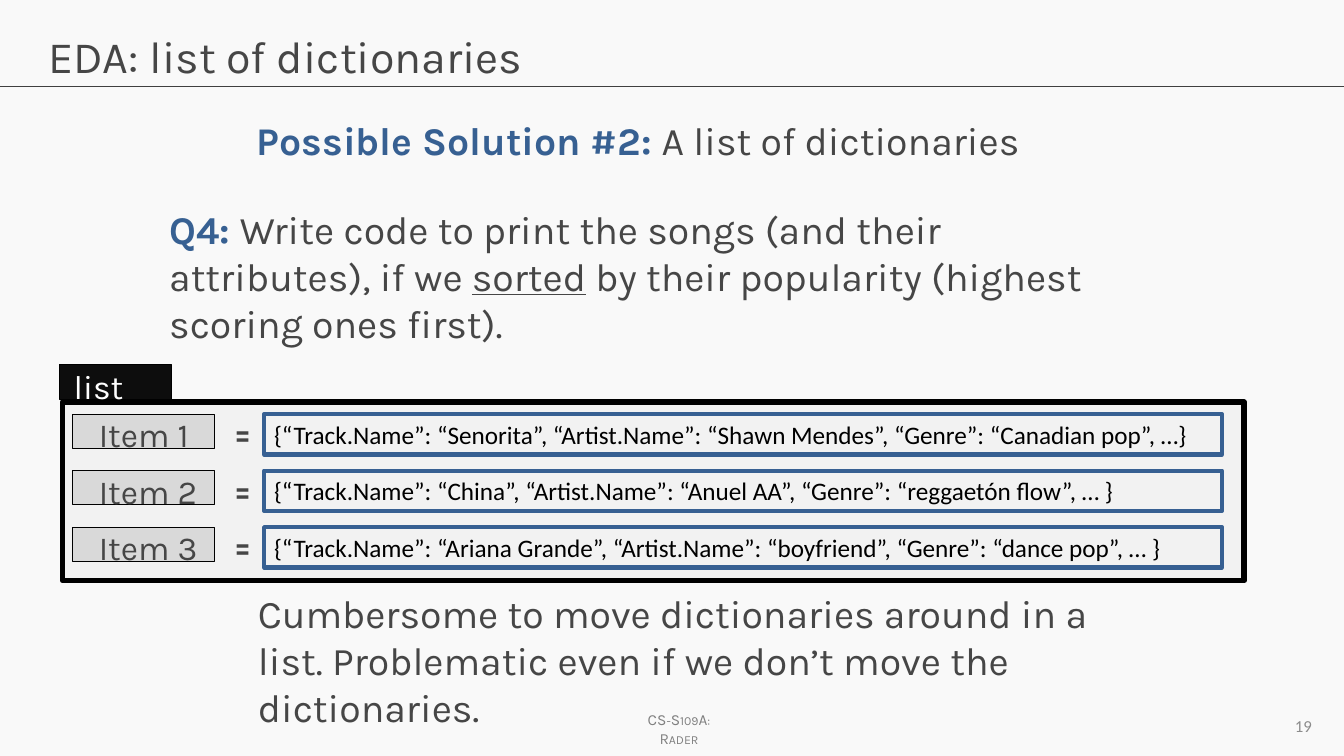
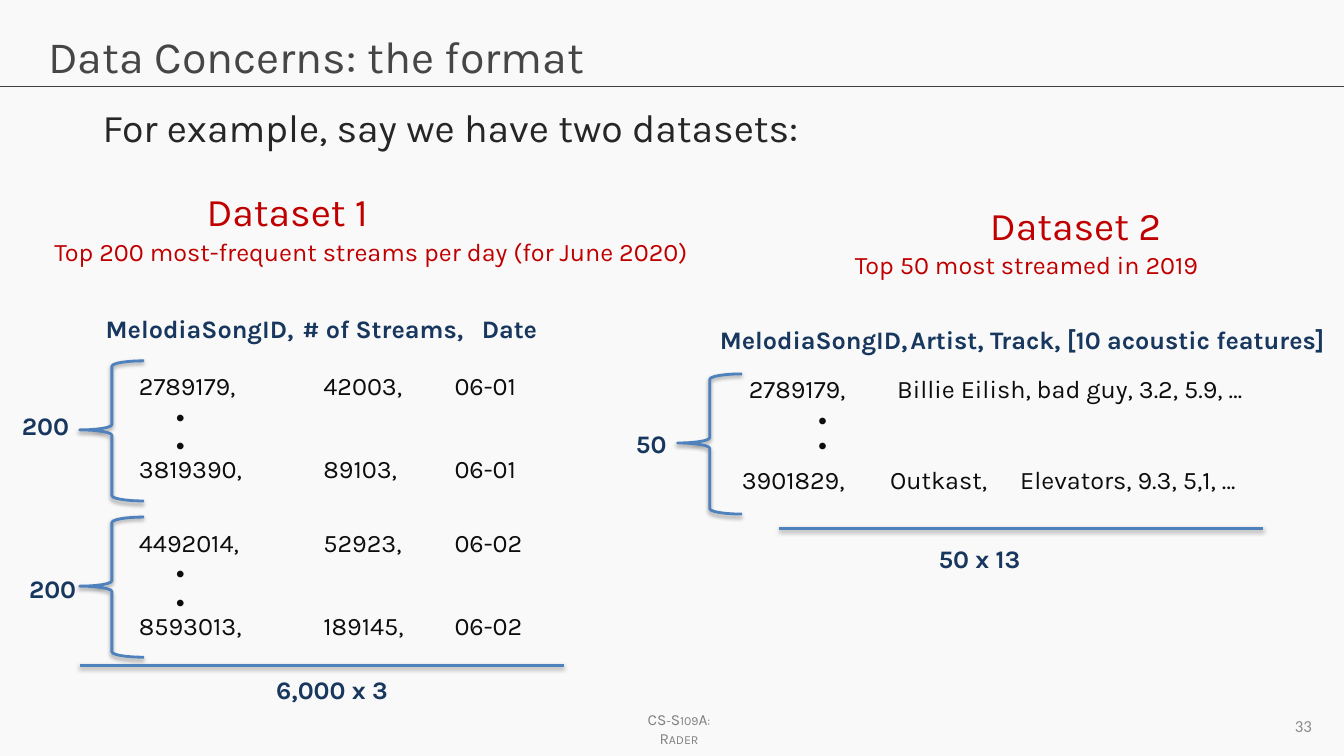
from lxml import etree
from pptx import Presentation
from pptx.dml.color import RGBColor
from pptx.enum.shapes import MSO_CONNECTOR, MSO_SHAPE
from pptx.enum.text import MSO_ANCHOR, PP_ALIGN
from pptx.oxml.ns import qn
from pptx.util import Inches, Pt

RECTANGLE = MSO_SHAPE.RECTANGLE
LEFT_BRACE = MSO_SHAPE.LEFT_BRACE
STRAIGHT = MSO_CONNECTOR.STRAIGHT
TOP = MSO_ANCHOR.TOP
MIDDLE = MSO_ANCHOR.MIDDLE
LEFT = PP_ALIGN.LEFT
CENTER = PP_ALIGN.CENTER
RIGHT = PP_ALIGN.RIGHT

PAPER = RGBColor(0xF9, 0xF9, 0xF9)
PANEL = RGBColor(0xF2, 0xF2, 0xF2)
TAG = RGBColor(0xD9, 0xD9, 0xD9)
WHITE = RGBColor(0xFF, 0xFF, 0xFF)
BLACK = RGBColor(0x00, 0x00, 0x00)
INK = RGBColor(0x0D, 0x0D, 0x0D)
DARK = RGBColor(0x26, 0x26, 0x26)
RULE = RGBColor(0x40, 0x40, 0x40)
TEXT = RGBColor(0x46, 0x46, 0x46)
FOOTER = RGBColor(0x80, 0x80, 0x80)
NUMBER = RGBColor(0x8C, 0x8C, 0x8C)
BLUE = RGBColor(0x37, 0x60, 0x92)
NAVY = RGBColor(0x17, 0x37, 0x5E)
BRACE = RGBColor(0x4F, 0x81, 0xBD)
RED = RGBColor(0xC0, 0x00, 0x00)

KARLA = "Karla"
CALIBRI = "Calibri"


def style_paragraph(para, size, color, font=KARLA, bold=False, align=LEFT):
    para.alignment = align
    para.font.name = font
    para.font.size = Pt(size)
    para.font.bold = bold
    para.font.color.rgb = color


def add_tabs(para, stops):
    tab_list = etree.SubElement(para._p.get_or_add_pPr(), qn("a:tabLst"))
    for stop in stops:
        etree.SubElement(tab_list, qn("a:tab"), pos=str(Inches(stop)), algn="l")


def add_text(page, at, text, size, color, font=KARLA, bold=False,
             align=LEFT, anchor=TOP, wrap=True, tabs=()):
    box = page.shapes.add_textbox(*map(Inches, at))
    frame = box.text_frame
    frame.word_wrap = wrap
    frame.vertical_anchor = anchor
    para = frame.paragraphs[0]
    if tabs:
        add_tabs(para, tabs)
    style_paragraph(para, size, color, font, bold, align)
    if text:
        para.add_run().text = text
    return para


def add_span(para, text, bold=None, color=None, underline=None):
    span = para.add_run()
    span.text = text
    span.font.bold = bold
    span.font.underline = underline
    if color is not None:
        span.font.color.rgb = color


def add_shape(page, kind, at, line, width, fill=None):
    shape = page.shapes.add_shape(kind, *map(Inches, at))
    shape.shadow.inherit = False
    if fill is None:
        shape.fill.background()
    else:
        shape.fill.solid()
        shape.fill.fore_color.rgb = fill
    shape.line.color.rgb = line
    shape.line.width = Pt(width)
    return shape


def add_label(page, at, text, size, color, line, width, fill=None,
              font=KARLA, inset=0.1, top_inset=0.05):
    shape = add_shape(page, RECTANGLE, at, line, width, fill)
    frame = shape.text_frame
    frame.word_wrap = True
    frame.vertical_anchor = TOP
    frame.margin_left = Inches(inset)
    frame.margin_right = 0
    frame.margin_top = Inches(top_inset)
    frame.margin_bottom = 0
    style_paragraph(frame.paragraphs[0], size, color, font)
    frame.paragraphs[0].add_run().text = text


def add_line(page, left, right, top, color, width):
    line = page.shapes.add_connector(
        STRAIGHT, Inches(left), Inches(top), Inches(right), Inches(top))
    line.line.color.rgb = color
    line.line.width = Pt(width)
    etree.SubElement(line._element.spPr, qn("a:effectLst"))
    return line


def cast_shadow(shape):
    effects = shape._element.spPr.find(qn("a:effectLst"))
    shadow = etree.SubElement(
        effects, qn("a:outerShdw"), blurRad="40000", dist="20000",
        dir="5400000", rotWithShape="0")
    color = etree.SubElement(shadow, qn("a:srgbClr"), val="000000")
    etree.SubElement(color, qn("a:alpha"), val="38000")


def add_brace(page, left, top):
    brace = add_shape(page, LEFT_BRACE, (left, top, 0.64, 1.39), BRACE, 2)
    brace.adjustments[0] = 0.083
    brace.adjustments[1] = 0.493
    cast_shadow(brace)


def add_dots(page, left, tops):
    for top in tops:
        add_text(page, (left, top, 0.32, 0.64), ".", 32, INK, CALIBRI,
                 bold=True, wrap=False)


def add_page(deck, title, number):
    page = deck.slides.add_slide(deck.slide_layouts[6])
    page.background.fill.solid()
    page.background.fill.fore_color.rgb = PAPER
    add_line(page, 0, 13.33, 0.86, RULE, 0.75)
    footer = add_text(page, (6.12, 7, 1.23, 0.29), "CS-S109A: Rader", 11,
                      FOOTER, align=CENTER)
    footer.runs[0].font._element.set("cap", "small")
    add_text(page, (10, 7, 3.11, 0.4), number, 12, NUMBER, CALIBRI,
             align=RIGHT, anchor=MIDDLE)
    add_text(page, (0.38, 0.24, 12.57, 0.84), title, 32, TEXT)
    return page


def build_dictionaries(deck):
    page = add_page(deck, "EDA: list of dictionaries", "19")

    solution = add_text(page, (2.45, 1.1, 8.43, 0.72), "", 28, TEXT)
    add_span(solution, "Possible Solution #2: ", True, BLUE)
    add_span(solution, "A list of dictionaries")

    question = add_text(page, (1.58, 1.99, 9.81, 1.16), "", 28, TEXT)
    add_span(question, "Q4: ", True, BLUE)
    add_span(question, "Write code to print the songs (and their attributes), if we ")
    add_span(question, "sorted", underline=True)
    add_span(question, " by their popularity (highest scoring ones first).")

    add_shape(page, RECTANGLE, (0.62, 3.99, 11.72, 1.77), BLACK, 4, PANEL)
    add_label(page, (0.59, 3.62, 1.11, 0.34), "list", 24, WHITE, BLACK, 0.75,
              INK, inset=0.14, top_inset=0.01)

    entries = [
        "{“Track.Name”: “Senorita”, “Artist.Name”: “Shawn Mendes”, “Genre”: “Canadian pop”, …}",
        "{“Track.Name”: “China”, “Artist.Name”: “Anuel AA”, “Genre”: “reggaetón flow”, … }",
        "{“Track.Name”: “Ariana Grande”, “Artist.Name”: “boyfriend”, “Genre”: “dance pop”, … }",
    ]
    for index, entry in enumerate(entries):
        top = 4.11 + 0.56 * index
        add_label(page, (0.72, top, 1.41, 0.34), f"Item {index + 1}", 24, TEXT,
                  BLACK, 0.75, TAG, inset=0.26, top_inset=0)
        add_text(page, (2.22, top - 0.07, 0.36, 0.41), "=", 24, TEXT, bold=True)
        add_label(page, (2.62, top, 9.5, 0.4), entry, 18, BLACK, BLUE, 3,
                  font=CALIBRI)

    add_text(page, (2.46, 5.8, 8.93, 0.72),
             "Cumbersome to move dictionaries around in a list. "
             "Problematic even if we don’t move the dictionaries.", 28, TEXT)


def build_datasets(deck):
    page = add_page(deck, "Data Concerns: the format", "33")
    add_text(page, (0.92, 0.98, 10.97, 0.55),
             "For example, say we have two datasets:", 28, DARK)

    headings = [
        (1.95, 1.81, 2.01, "Dataset 1", 28),
        (9.72, 1.95, 2.01, "Dataset 2", 28),
        (0.44, 2.29, 6.53, "Top 200 most-frequent streams per day (for June 2020)", 18),
        (8.38, 2.42, 4.5, "Top 50 most streamed in 2019", 18),
    ]
    for left, top, width, text, size in headings:
        add_text(page, (left, top, width, 0.55), text, size, RED)

    columns = [
        (0.95, 3.06, "MelodiaSongID,\t# of Streams,\tDate", (1.95, 3.73)),
        (7.04, 3.17, "MelodiaSongID,\tArtist, Track, [10 acoustic features]", (1.89,)),
    ]
    for left, top, text, tabs in columns:
        add_text(page, (left, top, 6.48, 0.59), text, 18, NAVY, bold=True, tabs=tabs)

    stream_tabs = (1.83, 3.13)
    track_tabs = (1.47, 2.76)
    records = [
        (1.28, 3.62, "2789179,\t42003,\t06-01", stream_tabs),
        (1.28, 4.45, "3819390,\t89103,\t06-01", stream_tabs),
        (1.28, 5.18, "4492014,\t52923,\t06-02", stream_tabs),
        (1.28, 6.01, "8593013,\t189145,\t06-02", stream_tabs),
        (7.33, 3.65, "2789179,\tBillie Eilish, bad guy, 3.2, 5.9, …", track_tabs),
        (7.26, 4.56, "3901829,\tOutkast,\tElevators, 9.3, 5,1, …", track_tabs),
    ]
    for left, top, text, tabs in records:
        add_text(page, (left, top, 5.47, 0.59), text, 18, INK, tabs=tabs)

    for left, top in [(0.79, 3.58), (0.79, 5.13), (6.72, 3.71)]:
        add_brace(page, left, top)
    for left, tops in [(1.63, (3.69, 3.97)), (1.63, (5.24, 5.52)), (8, (3.72, 3.97))]:
        add_dots(page, left, tops)
    for left, top in [(0.79, 6.6), (7.73, 5.24)]:
        cast_shadow(add_line(page, left, left + 4.8, top, BRACE, 2))

    counts = [
        (0.12, 4.02, 0.8, "200"),
        (0.19, 5.64, 0.8, "200"),
        (6.21, 4.2, 0.8, "50"),
        (2.64, 6.64, 1.89, "6,000 x 3"),
        (9.21, 5.34, 1.89, "50 x 13"),
    ]
    for left, top, width, text in counts:
        add_text(page, (left, top, width, 0.59), text, 18, NAVY, bold=True)


def main():
    deck = Presentation()
    deck.slide_width = Inches(13.33)
    deck.slide_height = Inches(7.5)
    build_dictionaries(deck)
    build_datasets(deck)
    deck.save("out.pptx")


if __name__ == "__main__":
    main()
